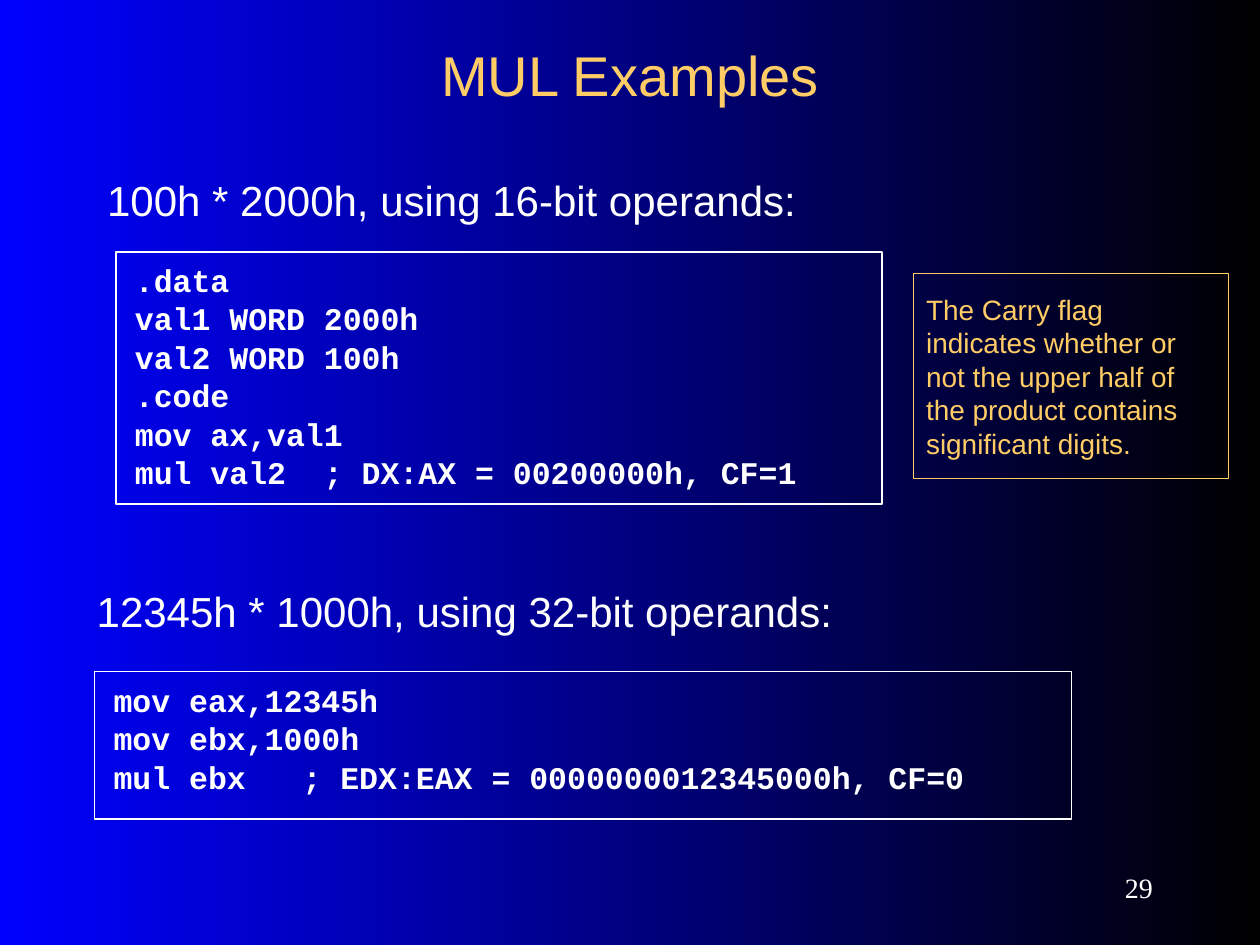
from dataclasses import dataclass
from typing import Optional

from lxml.etree import SubElement
from pptx import Presentation
from pptx.dml.color import RGBColor
from pptx.enum.shapes import MSO_SHAPE as Shape
from pptx.enum.text import MSO_ANCHOR as Anchor, MSO_AUTO_SIZE as AutoSize, PP_ALIGN as Align
from pptx.oxml.ns import qn
from pptx.util import Cm, Pt

COLORS = {"white": "FFFFFF", "gold": "FFCC66", "black": "000000", "blue": "0000FF"}


@dataclass
class TextStyle:
    font: str
    size: float
    color: str
    bold: bool = False
    align: Align = Align.LEFT
    anchor: Anchor = Anchor.TOP
    inset_x: float = 0.25
    inset_y: float = 0.13
    line_spacing: float = 1.0
    gap: float = 0


@dataclass
class Block:
    left: float
    top: float
    width: float
    height: float
    lines: list[str]
    style: TextStyle
    framed: bool = False
    tab: Optional[float] = None

    @property
    def bounds(self) -> tuple:
        return Cm(self.left), Cm(self.top), Cm(self.width), Cm(self.height)


TITLE = TextStyle("Arial", 32, "gold", align=Align.CENTER, anchor=Anchor.MIDDLE)
HEADING = TextStyle("Arial", 24, "white")
LOWER_HEADING = TextStyle("Arial", 24, "white", inset_y=0.38)
CODE = TextStyle("Courier New", 18, "white", bold=True, inset_x=0.38, inset_y=0.51,
                 line_spacing=0.5, gap=11.2)
NOTE = TextStyle("Arial", 16, "gold", inset_y=0.38)
NUMBER = TextStyle("Times New Roman", 16, "white", align=Align.RIGHT, anchor=Anchor.MIDDLE)

title_block = Block(1.91, 0.64, 21.59, 1.7, ["MUL Examples"], TITLE)
body_block = Block(1.91, 3.38, 21.59, 1.47, ["100h * 2000h, using 16-bit operands:"], HEADING)
other_blocks = [
    Block(2.34, 5.08, 15.44, 5.08,
          [".data", "val1 WORD 2000h", "val2 WORD 100h", ".code", "mov ax,val1",
           "mul val2\t; DX:AX = 00200000h, CF=1"], CODE, framed=True, tab=5.08),
    Block(18.42, 5.51, 6.35, 4.14,
          ["The Carry flag indicates whether or not the upper half of the product "
           "contains significant digits."], NOTE, framed=True),
    Block(1.91, 13.54, 19.69, 2.97,
          ["mov eax,12345h", "mov ebx,1000h",
           "mul ebx\t; EDX:EAX = 0000000012345000h, CF=0"], CODE, framed=True, tab=4.9),
    Block(1.7, 11.43, 19.89, 1.78, ["12345h * 1000h, using 32-bit operands:"], LOWER_HEADING),
    Block(20.75, 17.35, 2.74, 1.07, ["29"], NUMBER),
]


def rgb(name: str) -> RGBColor:
    return RGBColor.from_string(COLORS[name])


def format_paragraph(para, tab: Optional[float]) -> None:
    """Remove bullet and indent, and add the tab stop if there is one."""
    properties = para._p.get_or_add_pPr()
    properties.set("marL", "0")
    properties.set("indent", "0")
    SubElement(properties, qn("a:buNone"))
    if tab is not None:
        stops = SubElement(properties, qn("a:tabLst"))
        SubElement(stops, qn("a:tab"), pos=str(Cm(tab)), algn="l")


def write_text(box, block: Block) -> None:
    style, frame = block.style, box.text_frame
    frame.word_wrap = True
    frame.auto_size = AutoSize.NONE
    frame.vertical_anchor = style.anchor
    frame.margin_left = frame.margin_right = Cm(style.inset_x)
    frame.margin_top = frame.margin_bottom = Cm(style.inset_y)
    for index, line in enumerate(block.lines):
        para = frame.add_paragraph() if index else frame.paragraphs[0]
        format_paragraph(para, block.tab)
        para.alignment = style.align
        para.line_spacing = style.line_spacing
        para.space_before = Pt(style.gap if index else 0)
        span = para.add_run()
        span.text = line
        span.font.name = style.font
        span.font.size = Pt(style.size)
        span.font.bold = style.bold
        span.font.color.rgb = rgb(style.color)


def fill_placeholder(box, block: Block) -> None:
    box.left, box.top, box.width, box.height = block.bounds
    write_text(box, block)


def add_block(page, block: Block) -> None:
    if block.framed:
        box = page.shapes.add_shape(Shape.RECTANGLE, *block.bounds)
        box.shadow.inherit = False
        box.fill.background()
        box.line.color.rgb = rgb(block.style.color)
        box.line.width = Pt(0.75)
    else:
        box = page.shapes.add_textbox(*block.bounds)
    write_text(box, block)


def paint_background(page) -> None:
    fill = page.background.fill
    fill.gradient()
    fill.gradient_angle = 180
    for stop, name in zip(fill.gradient_stops, ("black", "blue")):
        stop.color.rgb = rgb(name)


def main() -> None:
    deck = Presentation()
    deck.slide_width, deck.slide_height = Cm(25.4), Cm(19.05)
    page = deck.slides.add_slide(deck.slide_layouts[1])
    paint_background(page)
    fill_placeholder(page.shapes.title, title_block)
    fill_placeholder(page.placeholders[1], body_block)
    for block in other_blocks:
        add_block(page, block)
    deck.save("out.pptx")


if __name__ == "__main__":
    main()
